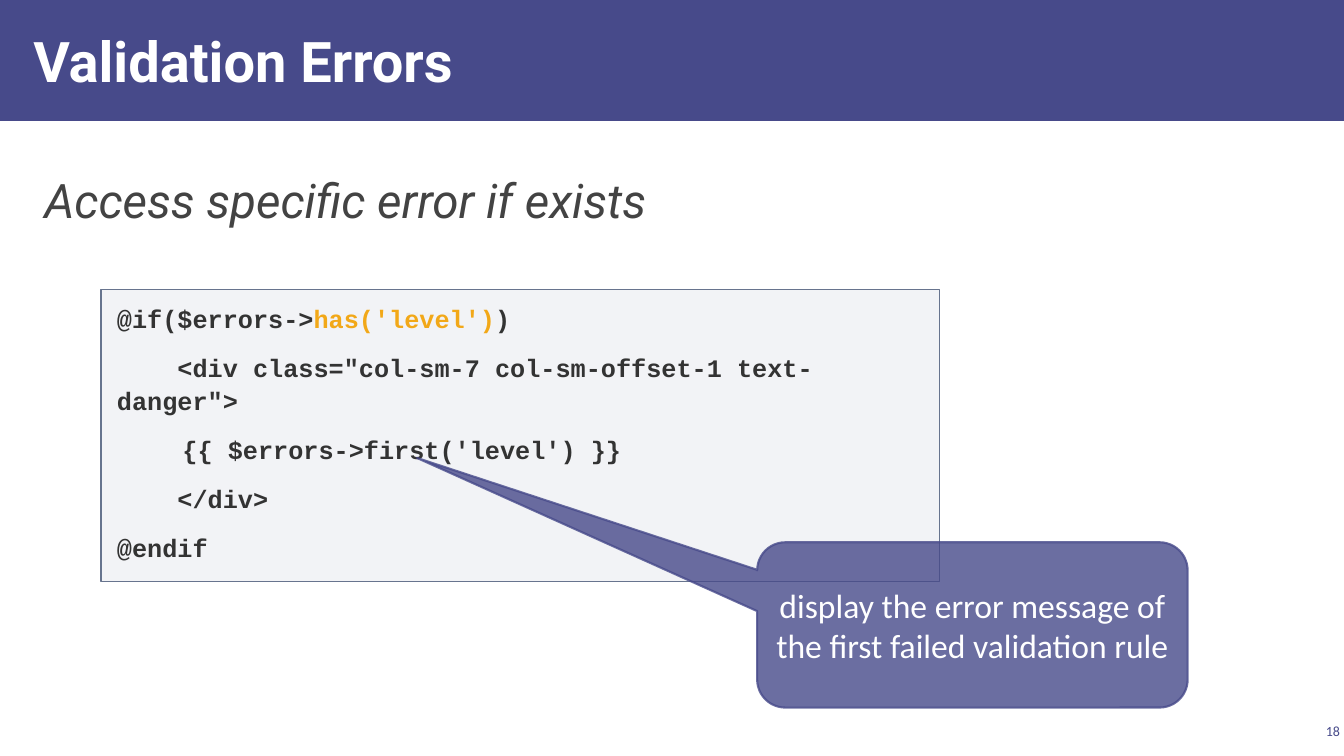
"""Build the Validation Errors slide with its code box and callout."""
from dataclasses import dataclass
from typing import Optional

from lxml.etree import SubElement
from pptx import Presentation
from pptx.dml.color import RGBColor
from pptx.dml.fill import FillFormat
from pptx.enum.shapes import MSO_SHAPE
from pptx.enum.text import MSO_ANCHOR, MSO_AUTO_SIZE, PP_ALIGN
from pptx.oxml.ns import qn
from pptx.shapes.autoshape import Shape
from pptx.slide import Slide
from pptx.text.text import TextFrame
from pptx.util import Inches, Pt

Box = tuple[float, float, float, float]


@dataclass(frozen=True)
class Style:
    font: str
    size: float
    color: str
    bold: bool = False
    italic: bool = False
    align: PP_ALIGN = PP_ALIGN.LEFT
    before: float = 0
    leading: float = 1.0


@dataclass(frozen=True)
class Theme:
    brand: str = "474A8A"
    panel: str = "ACB4C3"
    edge: str = "67748E"
    accent: str = "F2A818"
    title: Style = Style("Roboto", 40, "FFFFFF", bold=True)
    lead: Style = Style("Roboto", 34, "434343", italic=True)
    code: Style = Style("Courier New", 18, "333333", bold=True, before=12, leading=1.07)
    note: Style = Style("Calibri", 24, "FFFFFF", align=PP_ALIGN.CENTER)
    page: Style = Style("Calibri", 10, "474A8A", align=PP_ALIGN.RIGHT)


@dataclass(frozen=True)
class Panel:
    kind: MSO_SHAPE
    box: Box
    fill: str
    alpha: int = 100
    line: Optional[str] = None
    width: float = 1
    fade: int = 100
    adjust: tuple[float, ...] = ()


@dataclass(frozen=True)
class Span:
    text: str
    color: Optional[str] = None


THEME = Theme()
BAND = Panel(MSO_SHAPE.RECTANGLE, (0, 0, 13.33, 1.2), THEME.brand)
CODE = Panel(MSO_SHAPE.RECTANGLE, (1, 2.87, 8.32, 2.9), THEME.panel, 15, THEME.edge)
NOTE = Panel(MSO_SHAPE.ROUNDED_RECTANGULAR_CALLOUT, (7.51, 5.38, 4.27, 1.64),
             THEME.brand, 80, THEME.brand, 1.5, 80, (-1.29, -1.01, 0.17))
LINES = [
    [Span("@if($errors->"), Span("has('level')", THEME.accent), Span(")")],
    [Span('    <div class="col-sm-7 col-sm-offset-1 text-danger">')],
    [Span("   \t {{ $errors->first('level') }}")],
    [Span("    </div>")],
    [Span("@endif")],
]


def paint(fill: FillFormat, color: str, alpha: int, node) -> None:
    fill.solid()
    fill.fore_color.rgb = RGBColor.from_string(color)
    if alpha < 100:
        tint = node.find(qn("a:solidFill")).find(qn("a:srgbClr"))
        SubElement(tint, qn("a:alpha"), val=str(alpha * 1000))


def draw(slide: Slide, panel: Panel) -> Shape:
    shape = slide.shapes.add_shape(panel.kind, *map(Inches, panel.box))
    shape.shadow.inherit = False
    for index, value in enumerate(panel.adjust):
        shape.adjustments[index] = value
    props = shape._element.spPr
    paint(shape.fill, panel.fill, panel.alpha, props)
    if panel.line:
        shape.line.width = Pt(panel.width)
        paint(shape.line.fill, panel.line, panel.fade, props.find(qn("a:ln")))
    else:
        shape.line.fill.background()
    return shape


def place(shape: Shape, box: Box) -> None:
    shape.left, shape.top, shape.width, shape.height = map(Inches, box)


def write(frame: TextFrame, lines: list[list[Span]], style: Style,
          inset: Box, anchor: MSO_ANCHOR) -> None:
    frame.word_wrap = True
    frame.auto_size = MSO_AUTO_SIZE.NONE
    frame.vertical_anchor = anchor
    (frame.margin_left, frame.margin_top,
     frame.margin_right, frame.margin_bottom) = map(Inches, inset)
    for index, spans in enumerate(lines):
        para = frame.add_paragraph() if index else frame.paragraphs[0]
        para.alignment = style.align
        para.line_spacing = style.leading
        para.space_before = Pt(style.before if index else 0)
        props = para._p.get_or_add_pPr()
        props.set("marL", "0")
        props.set("indent", "0")
        SubElement(props, qn("a:buNone"))
        font = para.font
        font.name, font.size = style.font, Pt(style.size)
        font.bold, font.italic = style.bold, style.italic
        font.color.rgb = RGBColor.from_string(style.color)
        for span in spans:
            run = para.add_run()
            run.text = span.text
            if span.color:
                run.font.color.rgb = RGBColor.from_string(span.color)


def main() -> None:
    deck = Presentation()
    deck.slide_width, deck.slide_height = Inches(13.33), Inches(7.5)
    slide = deck.slides.add_slide(deck.slide_layouts[1])

    band = draw(slide, BAND)
    slide.shapes._spTree.insert(2, band._element)

    title, body = slide.shapes.title, slide.placeholders[1]
    place(title, (0.21, 0.11, 10.4, 0.97))
    write(title.text_frame, [[Span("Validation Errors")]], THEME.title,
          (0.12, 0.04, 0.12, 0.04), MSO_ANCHOR.MIDDLE)
    place(body, (0.2, 1.66, 12.92, 5.36))
    write(body.text_frame, [[Span("Access specific error if exists")]], THEME.lead,
          (0.24, 0.04, 0.12, 0.04), MSO_ANCHOR.TOP)

    page = slide.shapes.add_textbox(*map(Inches, (12.86, 7.14, 0.47, 0.22)))
    write(page.text_frame, [[Span("18")]], THEME.page,
          (0.04, 0.04, 0.04, 0.04), MSO_ANCHOR.MIDDLE)

    code = draw(slide, CODE)
    write(code.text_frame, LINES, THEME.code,
          (0.16, 0.12, 0.16, 0.12), MSO_ANCHOR.TOP)
    note = draw(slide, NOTE)
    words = "display the error message of the first failed validation rule"
    write(note.text_frame, [[Span(words)]], THEME.note,
          (0.1, 0.05, 0.1, 0.05), MSO_ANCHOR.MIDDLE)
    deck.save("out.pptx")


if __name__ == "__main__":
    main()
